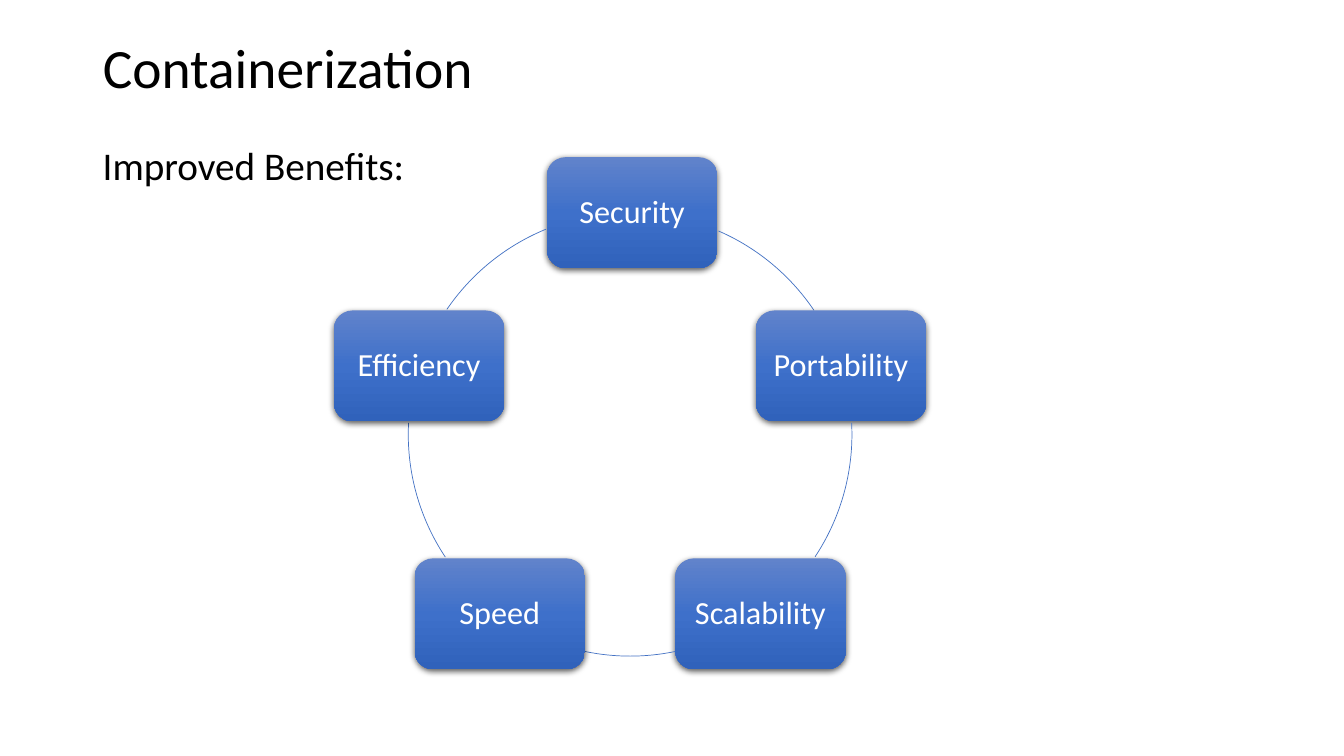
from copy import deepcopy
from dataclasses import dataclass
from math import cos, radians, sin

from pptx import Presentation
from pptx.dml.color import RGBColor
from pptx.enum.shapes import MSO_SHAPE
from pptx.enum.text import MSO_ANCHOR, MSO_AUTO_SIZE, PP_ALIGN
from pptx.oxml import parse_xml
from pptx.oxml.ns import nsdecls, qn
from pptx.util import Inches, Pt

ROUND, ARC = MSO_SHAPE.ROUNDED_RECTANGLE, MSO_SHAPE.ARC
TOP, MIDDLE = MSO_ANCHOR.TOP, MSO_ANCHOR.MIDDLE
LEFT, CENTER = PP_ALIGN.LEFT, PP_ALIGN.CENTER
FIXED = MSO_AUTO_SIZE.NONE

TITLE = "Containerization"
LEAD = "Improved Benefits:"
# Label and sideways shift in inches, clockwise from the top
BENEFITS = [("Security", 0.02), ("Portability", 0), ("Scalability", 0),
            ("Speed", 0), ("Efficiency", 0)]
# Start and end in degrees, clockwise from the right
ARCS = [(293.5, 326), (357, 33.5), (78.3, 101.7), (146.4, 183), (214.3, 247.7)]

MID_X, MID_Y, RADIUS = 6.25, 4.31, 2.2
BOX_W, BOX_H = 1.69, 1.1


@dataclass(frozen=True)
class Theme:
    font: str = "Calibri"
    ink: str = "000000"
    label: str = "FFFFFF"
    ring: str = "4472C4"
    shades: tuple = ("6183CB", "3E70CA", "3062BB")
    title_size: float = 39.6
    lead_size: float = 28
    label_size: float = 23


THEME = Theme()


def place(shape, x, y, w, h):
    shape.left, shape.top = Inches(x), Inches(y)
    shape.width, shape.height = Inches(w), Inches(h)


def write(shape, text, size, color, align, anchor):
    frame = shape.text_frame
    frame.text = text
    frame.word_wrap = True
    frame.auto_size = FIXED
    frame.vertical_anchor = anchor
    para = frame.paragraphs[0]
    para.alignment = align
    para.line_spacing = 0.9
    font = para.runs[0].font
    font.name, font.size = THEME.font, Pt(size)
    font.color.rgb = RGBColor.from_string(color)
    return frame


def shade(shape):
    """Fill from top to bottom with the three theme shades."""
    fill = shape.fill
    fill.gradient()
    fill.gradient_angle = 270
    stops = shape._element.spPr.find(qn("a:gradFill")).find(qn("a:gsLst"))
    stops.append(deepcopy(stops[-1]))
    for i, (stop, color) in enumerate(zip(fill.gradient_stops, THEME.shades)):
        stop.position = i / 2
        stop.color.rgb = RGBColor.from_string(color)


def drop(shape):
    """Cast a soft shadow straight down."""
    shape.shadow.inherit = False
    cast = parse_xml(
        f'<a:outerShdw {nsdecls("a")} blurRad="{Pt(4.5)}" dist="{Pt(1.5)}" '
        'dir="5400000" algn="ctr" rotWithShape="0"><a:srgbClr val="000000">'
        '<a:alpha val="63000"/></a:srgbClr></a:outerShdw>')
    shape._element.spPr.find(qn("a:effectLst")).append(cast)


def add_box(slide, label, angle, shift):
    x = MID_X + RADIUS * sin(radians(angle)) - BOX_W / 2 + shift
    y = MID_Y - RADIUS * cos(radians(angle)) - BOX_H / 2
    box = slide.shapes.add_shape(
        ROUND, Inches(x), Inches(y), Inches(BOX_W), Inches(BOX_H))
    shade(box)
    box.line.fill.background()
    drop(box)
    frame = write(box, label, THEME.label_size, THEME.label, CENTER, MIDDLE)
    frame.margin_left = frame.margin_right = Inches(0.1)
    frame.margin_top = frame.margin_bottom = Inches(0.1)


def add_arc(slide, start, end):
    side = Inches(2 * RADIUS)
    arc = slide.shapes.add_shape(
        ARC, Inches(MID_X - RADIUS), Inches(MID_Y - RADIUS), side, side)
    # An adjustment of 0.6 is one degree
    arc.adjustments[0], arc.adjustments[1] = start * 0.6, end * 0.6
    arc.fill.background()
    arc.line.color.rgb = RGBColor.from_string(THEME.ring)
    arc.line.width = Pt(0.5)
    arc.shadow.inherit = False


def main():
    deck = Presentation()
    deck.slide_width, deck.slide_height = Inches(13.33), Inches(7.5)
    slide = deck.slides.add_slide(deck.slide_layouts[5])

    title = slide.shapes.title
    place(title, 0.92, 0.4, 11.5, 0.59)
    write(title, TITLE, THEME.title_size, THEME.ink, LEFT, MIDDLE)
    lead = slide.shapes.add_textbox(
        Inches(0.92), Inches(1.41), Inches(11.85), Inches(5.69))
    write(lead, LEAD, THEME.lead_size, THEME.ink, LEFT, TOP)

    step = 360 / len(BENEFITS)
    for i, ((label, shift), (start, end)) in enumerate(zip(BENEFITS, ARCS)):
        add_box(slide, label, i * step, shift)
        add_arc(slide, start, end)
    deck.save("out.pptx")


if __name__ == "__main__":
    main()
